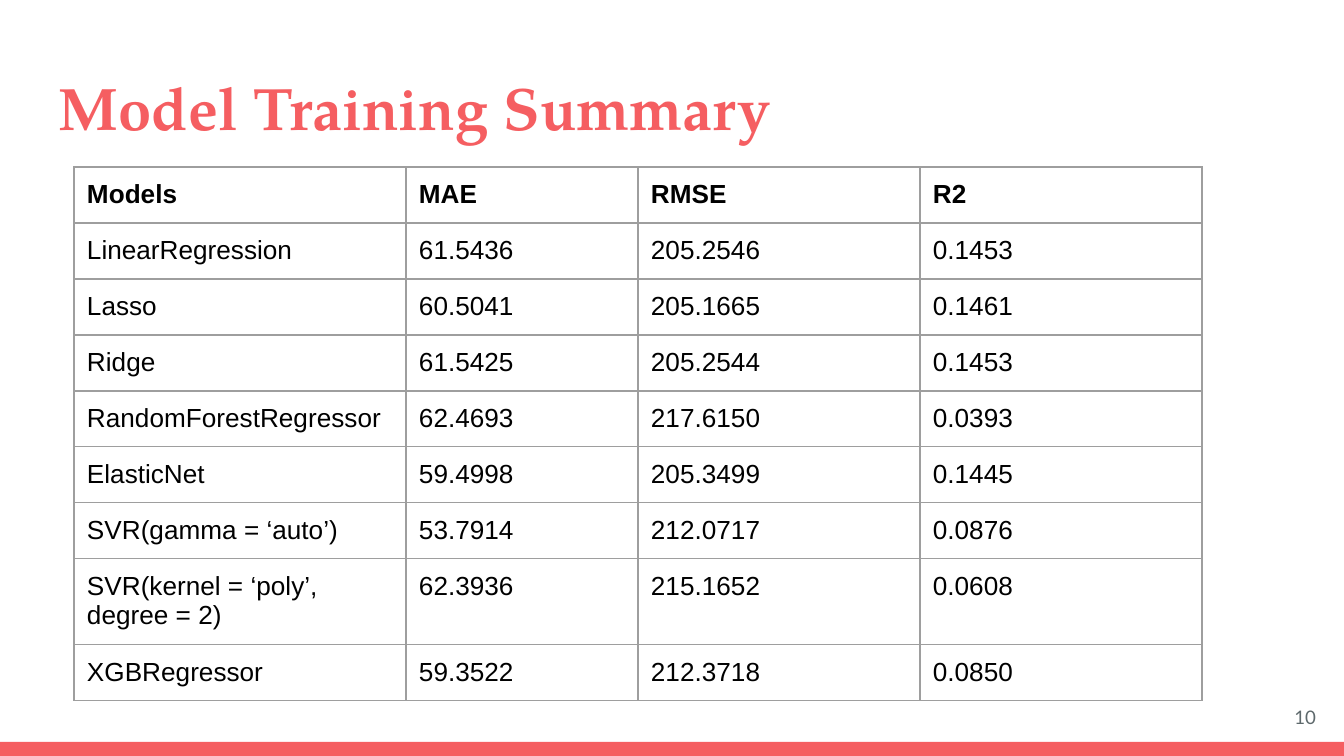
import pptx
import pptx.dml.color
import pptx.enum.shapes
import pptx.enum.text
import pptx.oxml
import pptx.oxml.ns
import pptx.util

EMU_PER_PX = 914400 / 134.4
CORAL = "F55E61"
MARGINS = ("margin_left", "margin_right", "margin_top", "margin_bottom")
ANCHOR = pptx.enum.text.MSO_ANCHOR
ALIGN = pptx.enum.text.PP_ALIGN

ROWS = [
    ("Models", "MAE", "RMSE", "R2"),
    ("LinearRegression", "61.5436", "205.2546", "0.1453"),
    ("Lasso", "60.5041", "205.1665", "0.1461"),
    ("Ridge", "61.5425", "205.2544", "0.1453"),
    ("RandomForestRegressor", "62.4693", "217.6150", "0.0393"),
    ("ElasticNet", "59.4998", "205.3499", "0.1445"),
    ("SVR(gamma = ‘auto’)", "53.7914", "212.0717", "0.0876"),
    ("SVR(kernel = ‘poly’, degree = 2)", "62.3936", "215.1652", "0.0608"),
    ("XGBRegressor", "59.3522", "212.3718", "0.0850"),
]
COLUMN_WIDTHS = (332, 232, 282, 282)
ROW_HEIGHTS = (56, 56, 56, 56, 56, 56, 56, 86, 56)


def px(length):
    return pptx.util.Emu(round(length * EMU_PER_PX))


def color(value):
    return pptx.dml.color.RGBColor.from_string(value)


def assign(target, values):
    for name, value in values.items():
        setattr(target, name, value)


class SlideBuilder:
    inset = 13
    border = "9E9E9E"

    def __init__(self, deck):
        self.page = deck.slides.add_slide(deck.slide_layouts[5])

    def add_text(self, frame, text, font, size, ink, bold=False, align=ALIGN.LEFT):
        para = frame.paragraphs[0]
        para.alignment = align
        span = para.add_run()
        span.text = text
        assign(span.font, {"name": font, "size": pptx.util.Pt(size), "bold": bold})
        span.font.color.rgb = color(ink)

    def frame(self, box, anchor):
        frame = box.text_frame
        assign(frame, dict.fromkeys(MARGINS, px(self.inset)))
        assign(frame, {
            "word_wrap": True,
            "auto_size": pptx.enum.text.MSO_AUTO_SIZE.NONE,
            "vertical_anchor": anchor,
        })
        return frame

    def bar(self, left, top, width, height, fill):
        shape = self.page.shapes.add_shape(
            pptx.enum.shapes.MSO_SHAPE.RECTANGLE, px(left), px(top), px(width), px(height))
        shape.shadow.inherit = False
        shape.fill.solid()
        shape.fill.fore_color.rgb = color(fill)
        shape.line.fill.background()

    def title(self, left, top, width, height, text):
        box = self.page.shapes.title
        assign(box, {"left": px(left), "top": px(top), "width": px(width), "height": px(height)})
        self.add_text(self.frame(box, ANCHOR.TOP), text, "TeX Gyre Pagella", 32, CORAL, bold=True)

    def label(self, left, top, width, height, text):
        box = self.page.shapes.add_textbox(px(left), px(top), px(width), px(height))
        self.add_text(self.frame(box, ANCHOR.MIDDLE), text, "Lato", 10, "5E696C", align=ALIGN.RIGHT)

    def outline(self, cell):
        properties = cell._tc.get_or_add_tcPr()
        for side in ("lnL", "lnR", "lnT", "lnB"):
            properties.append(pptx.oxml.parse_xml(
                f'<a:{side} {pptx.oxml.ns.nsdecls("a")} w="{pptx.util.Pt(0.75)}">'
                f'<a:solidFill><a:srgbClr val="{self.border}"/></a:solidFill></a:{side}>'))

    def table(self, left, top, rows, widths, heights):
        table = self.page.shapes.add_table(
            len(rows), len(widths), px(left), px(top), px(sum(widths)), px(sum(heights))).table
        assign(table, {"first_row": False, "horz_banding": False})
        for column, width in zip(table.columns, widths):
            column.width = px(width)
        for index, (row, height, texts) in enumerate(zip(table.rows, heights, rows)):
            row.height = px(height)
            for cell, text in zip(row.cells, texts):
                assign(cell, dict.fromkeys(MARGINS, px(self.inset)))
                cell.vertical_anchor = ANCHOR.TOP
                self.outline(cell)
                cell.fill.background()
                self.add_text(cell.text_frame, text, "Arial", 14, "000000", bold=index == 0)


def main():
    deck = pptx.Presentation()
    assign(deck, {"slide_width": px(1344), "slide_height": px(756)})
    builder = SlideBuilder(deck)
    builder.bar(0, 742, 1344, 14, CORAL)
    builder.title(46, 58, 1252, 91, "Model Training Summary")
    builder.table(74, 167, ROWS, COLUMN_WIDTHS, ROW_HEIGHTS)
    builder.label(1248, 688, 81, 58, "10")
    deck.save("out.pptx")


if __name__ == "__main__":
    main()
